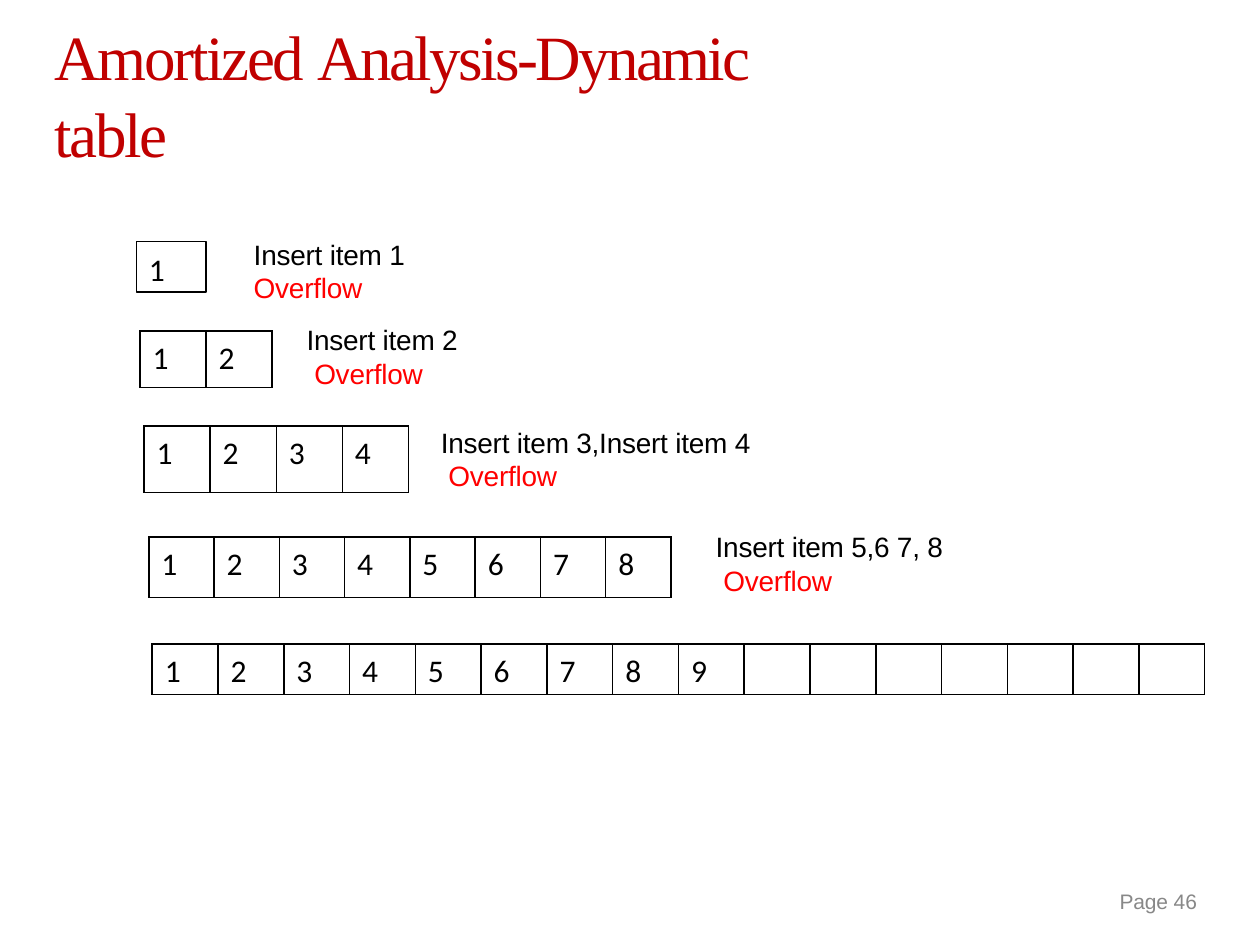
from lxml import etree
from pptx import Presentation
from pptx.dml.color import RGBColor
from pptx.enum.shapes import MSO_SHAPE
from pptx.enum.text import MSO_ANCHOR, MSO_AUTO_SIZE, PP_ALIGN
from pptx.oxml.ns import qn
from pptx.util import Pt

RECTANGLE = MSO_SHAPE.RECTANGLE
TOP, MIDDLE = MSO_ANCHOR.TOP, MSO_ANCHOR.MIDDLE
LEFT, RIGHT = PP_ALIGN.LEFT, PP_ALIGN.RIGHT
GROW = MSO_AUTO_SIZE.SHAPE_TO_FIT_TEXT
COLORS = {"title": "C00000", "text": "000000", "overflow": "FF0000", "page": "888888"}
BORDER_SIDES = ("a:lnL", "a:lnR", "a:lnT", "a:lnB")
CELL_INSETS = (7.2, 4.7)


def add_span(para, text, font_name, size, color, spacing=0):
    """Add one run with its font, colour and letter spacing in points."""
    span = para.add_run()
    span.text = text
    span.font.name = font_name
    span.font.size = Pt(size)
    span.font.color.rgb = RGBColor.from_string(COLORS[color])
    if spacing:
        span.font._element.set("spc", str(round(spacing * 100)))


def add_text_frame(page, box, anchor, left_inset, top_inset):
    """Add a wrapping text box that grows with its text and return its frame."""
    frame = page.shapes.add_textbox(*map(Pt, box)).text_frame
    frame.word_wrap = True
    frame.auto_size = GROW
    frame.vertical_anchor = anchor
    frame.margin_left, frame.margin_top = Pt(left_inset), Pt(top_inset)
    frame.margin_right = frame.margin_bottom = 0
    return frame


def add_title(page, box):
    """Add the slide title."""
    para = add_text_frame(page, box, MIDDLE, 1, 1.6).paragraphs[0]
    para.line_spacing = Pt(44)
    for text, spacing in (("Amortized ", -1.4), ("Analysis-Dynamic ", -1.5), ("table", -1.3)):
        add_span(para, text, "Times New Roman", 36, "title", spacing)


def add_page_number(page, box):
    """Add the right-aligned page number."""
    para = add_text_frame(page, box, MIDDLE, 0, 0).paragraphs[0]
    para.alignment = RIGHT
    para.line_spacing = Pt(14.3)
    add_span(para, "Page ", "Arial", 12, "page", -0.1)
    add_span(para, "46", "Arial", 12, "page")


def add_single_slot(page, box, item):
    """Add the one-slot array as a bordered rectangle."""
    slot = page.shapes.add_shape(RECTANGLE, *map(Pt, box))
    slot.shadow.inherit = False
    slot.fill.background()
    slot.line.color.rgb = RGBColor.from_string(COLORS["text"])
    slot.line.width = Pt(1)
    frame = slot.text_frame
    frame.vertical_anchor = TOP
    frame.margin_left, frame.margin_top = map(Pt, CELL_INSETS)
    frame.margin_right = frame.margin_bottom = 0
    para = frame.paragraphs[0]
    para.alignment = LEFT
    add_span(para, item, "Calibri", 18, "text")


def style_cell(cell):
    """Give a cell its insets, thin border and empty fill."""
    cell.margin_left, cell.margin_top = map(Pt, CELL_INSETS)
    cell.margin_right = cell.margin_bottom = 0
    properties = cell._tc.get_or_add_tcPr()
    for side in BORDER_SIDES:
        line = etree.SubElement(properties, qn(side), w=str(Pt(1)))
        fill = etree.SubElement(line, qn("a:solidFill"))
        etree.SubElement(fill, qn("a:srgbClr"), val=COLORS["text"])
    cell.fill.background()


def add_array(page, box, slots, filled):
    """Add a one-row table of equal slots, the first ones numbered."""
    table = page.shapes.add_table(1, slots, *map(Pt, box)).table
    table.first_row = table.horz_banding = False
    for index in range(slots):
        table.columns[index].width = Pt(box[2] / slots)
        cell = table.cell(0, index)
        style_cell(cell)
        if index < filled:
            add_span(cell.text_frame.paragraphs[0], str(index + 1), "Calibri", 18, "text")


def add_labels(page, box, labels, overflow_shift):
    """Add insert labels, each with its overflow line below."""
    frame = add_text_frame(page, box, TOP, 1, 1.6)
    para = frame.paragraphs[0]
    for number, (indent, gap, text) in enumerate(labels):
        if number:
            para = frame.add_paragraph()
            para.space_before = Pt(gap)
        lines = ((para, text, "text", indent),
                 (frame.add_paragraph(), "Overflow", "overflow", indent + overflow_shift))
        for line, words, color, margin in lines:
            line._p.get_or_add_pPr().set("marL", str(Pt(margin)))
            line.line_spacing = Pt(19.2)
            add_span(line, words, "Arial", 16, color, -0.1)


def main():
    """Build and save the slide."""
    deck = Presentation()
    deck.slide_width, deck.slide_height = Pt(720), Pt(540)
    page = deck.slides.add_slide(deck.slide_layouts[6])
    add_title(page, (30.2, 29.5, 464.8, 45.4))
    add_page_number(page, (516.2, 500.4, 167.8, 28.8))
    add_single_slot(page, (78, 138, 39.6, 28.8), "1")
    arrays = (
        ((80, 189.2, 75.6, 32.2), 2, 2),
        ((82.3, 243.4, 151.2, 38), 4, 4),
        ((85, 306.9, 298.6, 34.4), 8, 8),
        ((87, 368, 601.6, 28.8), 16, 9),
    )
    for box, slots, filled in arrays:
        add_array(page, box, slots, filled)
    add_labels(page, (144, 133.9, 90, 40.3), ((0, 0, "Insert item 1"),), 0)
    add_labels(page, (174.2, 182.7, 368.6, 157), (
        (0, 0, "Insert item 2"),
        (76.7, 20.4, "Insert item 3,Insert item 4"),
        (233.8, 21.4, "Insert item 5,6 7, 8"),
    ), 4.4)
    deck.save("out.pptx")


if __name__ == "__main__":
    main()
